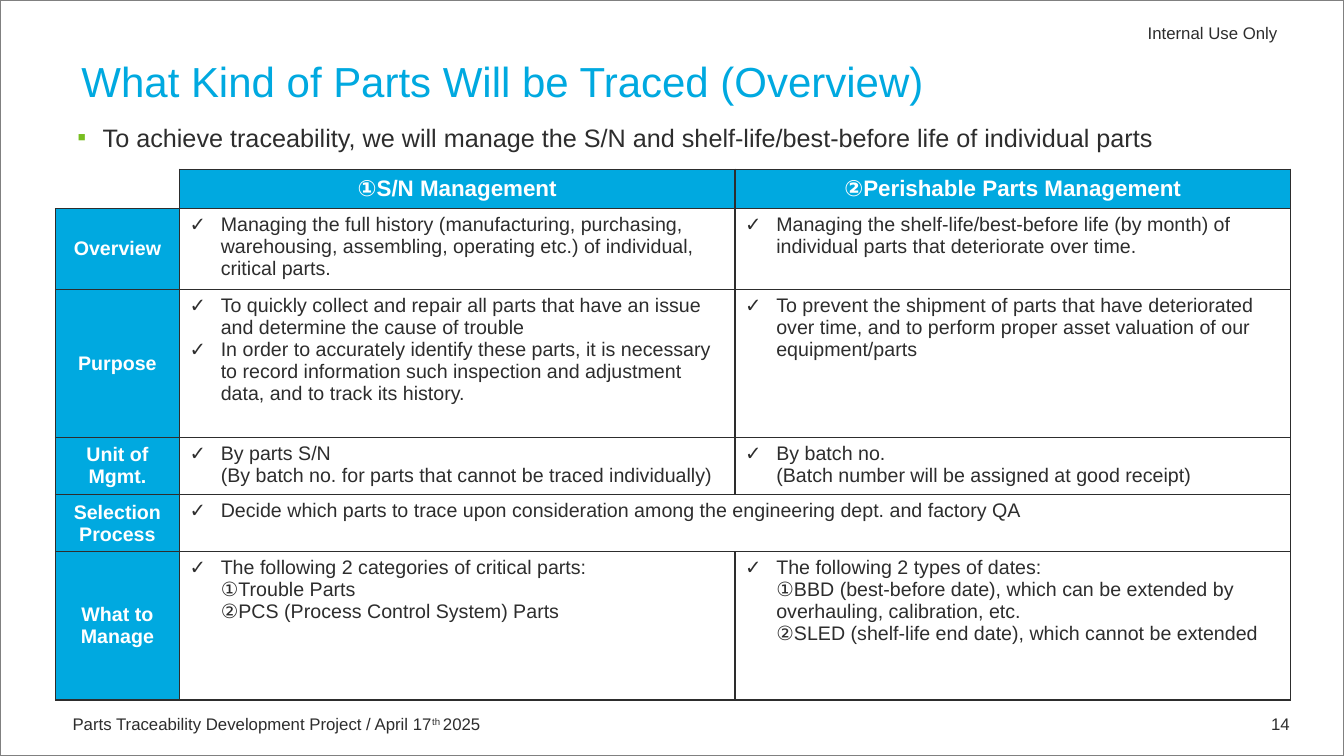
import pptx
import pptx.dml.color
import pptx.enum.shapes
import pptx.enum.text
import pptx.oxml.ns
import pptx.util
from lxml import etree

Inches, Pt = pptx.util.Inches, pptx.util.Pt
RGBColor = pptx.dml.color.RGBColor
PP_ALIGN = pptx.enum.text.PP_ALIGN
MSO_ANCHOR = pptx.enum.text.MSO_ANCHOR
qn = pptx.oxml.ns.qn

BLUE = RGBColor(0x00, 0xA9, 0xE0)
GREEN = RGBColor(0x78, 0xBE, 0x20)
DARK = RGBColor(0x2D, 0x2D, 0x2D)
GRAY = RGBColor(0x80, 0x80, 0x80)
WHITE = RGBColor(0xFF, 0xFF, 0xFF)


def write(paragraph, text, size, color, bold=False, align=PP_ALIGN.LEFT,
          bullet=None, bullet_color=None, indent=0):
    """Fill one paragraph, with a hanging bullet if one is given."""
    paragraph.text = text
    paragraph.alignment = align
    if bullet:
        props = paragraph._p.get_or_add_pPr()
        props.set("marL", str(Inches(indent)))
        props.set("indent", str(-Inches(indent)))
        if bullet_color is not None:
            tint = etree.SubElement(props, qn("a:buClr"))
            etree.SubElement(tint, qn("a:srgbClr"), val=str(bullet_color))
        etree.SubElement(props, qn("a:buFont"), typeface="Arial")
        etree.SubElement(props, qn("a:buChar"), char=bullet)
    for line_break in paragraph._p.findall(qn("a:br")):
        etree.SubElement(line_break, qn("a:rPr"), sz=str(size * 100))
    for run in paragraph.runs:
        run.font.name = "Arial"
        run.font.size = Pt(size)
        run.font.bold = bold
        run.font.color.rgb = color


def add_text(left, top, width, height, text, size, color, tight=False, **style):
    """Add a one-paragraph box; a tight one has almost no insets."""
    frame = slide.shapes.add_textbox(
        Inches(left), Inches(top), Inches(width), Inches(height)).text_frame
    frame.word_wrap = True
    if tight:
        frame.margin_left = frame.margin_top = 0
        frame.margin_right, frame.margin_bottom = Inches(0.02), Inches(0.01)
        frame.vertical_anchor = MSO_ANCHOR.MIDDLE
    write(frame.paragraphs[0], text, size, color, **style)
    return frame.paragraphs[0]


deck = pptx.Presentation()
deck.slide_width, deck.slide_height = Inches(13.33), Inches(7.5)
slide = deck.slides.add_slide(deck.slide_layouts[6])

# Frame, header and footer
border = slide.shapes.add_shape(pptx.enum.shapes.MSO_SHAPE.RECTANGLE,
                                0, 0, deck.slide_width, deck.slide_height)
border.shadow.inherit = False
border.fill.background()
border.line.color.rgb = GRAY
border.line.width = Pt(1)

footer = add_text(0.72, 7.06, 5.47, 0.26,
                  "Parts Traceability Development Project / April 17", 12, DARK, tight=True)
for text, baseline in (("th ", "30000"), ("2025", "0")):
    run = footer.add_run()
    run.text = text
    run.font.name = "Arial"
    run.font.size = Pt(12)
    run.font.color.rgb = DARK
    run._r.get_or_add_rPr().set("baseline", baseline)
add_text(9.44, 0.2, 3.25, 0.26, "Internal Use Only", 12, DARK, tight=True, align=PP_ALIGN.RIGHT)
add_text(12.34, 7.03, 0.55, 0.29, "14", 12, DARK, align=PP_ALIGN.RIGHT)

# Title and key message
add_text(0.71, 0.5, 11.94, 0.57, "What Kind of Parts Will be Traced (Overview)", 30, BLUE)
add_text(0.67, 1.16, 12.12, 0.52,
         "To achieve traceability, we will manage the S/N and shelf-life/best-before life "
         "of individual parts", 18, DARK, bullet="▪", bullet_color=GREEN, indent=0.25)

# Comparison table: row height, label, then a list of points per column
rows = [
    (0.39, "", ["①S/N Management"], ["②Perishable Parts Management"]),
    (0.78, "Overview",
     ["Managing the full history (manufacturing, purchasing, warehousing, assembling, "
      "operating etc.) of individual, critical parts."],
     ["Managing the shelf-life/best-before life (by month) of individual parts that "
      "deteriorate over time."]),
    (1.47, "Purpose",
     ["To quickly collect and repair all parts that have an issue and determine the "
      "cause of trouble",
      "In order to accurately identify these parts, it is necessary to record information "
      "such inspection and adjustment data, and to track its history."],
     ["To prevent the shipment of parts that have deteriorated over time, and to perform "
      "proper asset valuation of our equipment/parts"]),
    (0.55, "Unit of Mgmt.",
     ["By parts S/N\n(By batch no. for parts that cannot be traced individually)"],
     ["By batch no.\n(Batch number will be assigned at good receipt)"]),
    (0.55, "Selection Process",
     ["Decide which parts to trace upon consideration among the engineering dept. "
      "and factory QA"], None),
    (1.47, "What to Manage",
     ["The following 2 categories of critical parts:\n①Trouble Parts\n"
      "②PCS (Process Control System) Parts"],
     ["The following 2 types of dates:\n①BBD (best-before date), which can be extended by "
      "overhauling, calibration, etc.\n②SLED (shelf-life end date), which cannot be extended"]),
]
table = slide.shapes.add_table(len(rows), 3, Inches(0.55), Inches(1.68),
                               Inches(12.25), Inches(5.21)).table
table.first_row = table.horz_banding = False
for column, width in zip(table.columns, (1.23, 5.51, 5.51)):
    column.width = Inches(width)

for r, (height, label, *points_by_column) in enumerate(rows):
    table.rows[r].height = Inches(height)
    for c, points in enumerate([[label], *points_by_column]):
        cell = table.cell(r, c)
        corner = r == 0 and c == 0
        cell_props = cell._tc.get_or_add_tcPr()
        for side in ("lnL", "lnR", "lnT", "lnB"):
            edge = etree.SubElement(cell_props, qn("a:" + side), w=str(Pt(1)))
            if corner and side in ("lnL", "lnT"):
                etree.SubElement(edge, qn("a:noFill"))
            else:
                paint = etree.SubElement(edge, qn("a:solidFill"))
                etree.SubElement(paint, qn("a:srgbClr"), val=str(DARK))
        if corner:
            cell.fill.background()
            cell.margin_top = cell.margin_bottom = 0
            continue
        heading = r == 0 or c == 0
        cell.fill.solid()
        cell.fill.fore_color.rgb = BLUE if heading else WHITE
        if points is None:
            table.cell(r, c - 1).merge(cell)
            continue
        frame = cell.text_frame
        if heading:
            cell.vertical_anchor = MSO_ANCHOR.MIDDLE
            write(frame.paragraphs[0], points[0], 16 if r == 0 else 14, WHITE,
                  bold=True, align=PP_ALIGN.CENTER)
            continue
        for i, point in enumerate(points):
            paragraph = frame.add_paragraph() if i else frame.paragraphs[0]
            write(paragraph, point, 14, DARK, bullet="✓", indent=0.31)

deck.save("out.pptx")
